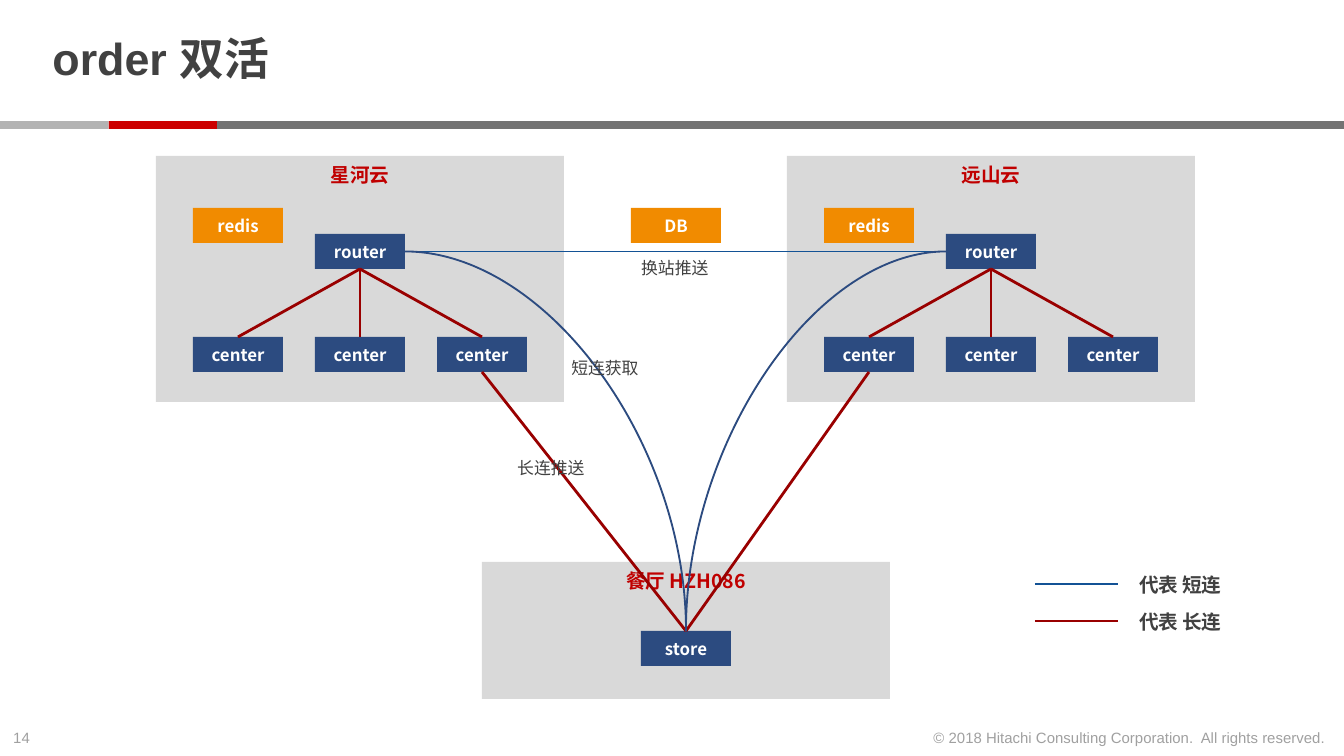
import pptx
import pptx.util
import pptx.dml.color
import pptx.enum.shapes
import pptx.enum.text
import pptx.oxml
import pptx.oxml.ns

RGB = pptx.dml.color.RGBColor
INK = RGB(0x41, 0x41, 0x41)
PALE = RGB(0xA0, 0xA0, 0xA0)
WHITE = RGB(0xFF, 0xFF, 0xFF)
PANEL = RGB(0xD9, 0xD9, 0xD9)
HEAD = RGB(0xC0, 0x00, 0x00)
NAVY = RGB(0x2C, 0x4B, 0x80)
AMBER = RGB(0xF1, 0x8B, 0x00)
BLUE = RGB(0x13, 0x52, 0x95)
MAROON = RGB(0x99, 0x00, 0x00)
LIGHT = RGB(0xB3, 0xB3, 0xB3)
RED = RGB(0xCC, 0x00, 0x00)
DARK = RGB(0x73, 0x73, 0x73)

ALIGN = pptx.enum.text.PP_ALIGN
ANCHOR = pptx.enum.text.MSO_ANCHOR
LINK = pptx.enum.shapes.MSO_CONNECTOR
CJK = "Noto Sans CJK SC"
SCALE = 9144000 / 1344
TOP, LEFT, BOTTOM, RIGHT = range(4)


def px(*sizes):
    return [pptx.util.Emu(round(size * SCALE)) for size in sizes]


def write(frame, text, size, color, face, bold=False, align=ALIGN.LEFT):
    frame.text = text
    line = frame.paragraphs[0]
    line.alignment = align
    for run in line.runs:
        font = run.font
        font.name = face
        font.size = pptx.util.Pt(size)
        font.bold = bold
        font.color.rgb = color
        east = pptx.oxml.parse_xml(
            f'<a:ea {pptx.oxml.ns.nsdecls("a")} typeface="{CJK}"/>')
        font._element.append(east)


def add_rect(slide, box, fill):
    rect = slide.shapes.add_shape(
        pptx.enum.shapes.MSO_SHAPE.RECTANGLE, *px(*box))
    rect.shadow.inherit = False
    rect.fill.solid()
    rect.fill.fore_color.rgb = fill
    rect.line.fill.background()
    return rect


def add_panel(slide, box, name):
    frame = add_rect(slide, box, PANEL).text_frame
    frame.vertical_anchor = ANCHOR.TOP
    write(frame, name, 10.5, HEAD, CJK, True, ALIGN.CENTER)


def add_node(slide, x, y, name, fill=NAVY):
    node = add_rect(slide, (x, y, 90, 35), fill)
    node.text_frame.vertical_anchor = ANCHOR.MIDDLE
    write(node.text_frame, name, 9, WHITE, CJK, True, ALIGN.CENTER)
    return node


def add_label(slide, box, text, size=9, color=INK, bold=False,
              align=ALIGN.LEFT, wrap=True):
    frame = slide.shapes.add_textbox(*px(*box)).text_frame
    frame.word_wrap = wrap
    write(frame, text, size, color, "Arial", bold, align)


def add_line(slide, color, width, ends=(0, 0, 0, 0), kind=LINK.STRAIGHT):
    line = slide.shapes.add_connector(kind, *px(*ends))
    line.line.color.rgb = color
    line.line.width = pptx.util.Pt(width)
    line._element.spPr.append(pptx.oxml.parse_xml(
        f'<a:effectLst {pptx.oxml.ns.nsdecls("a")}/>'))
    return line


def join(slide, start, side, end, goal, color, width):
    line = add_line(slide, color, width)
    line.begin_connect(start, side)
    line.end_connect(end, goal)


def add_curve(slide, router, side, store):
    line = add_line(slide, NAVY, 1, kind=LINK.CURVE)
    line.begin_connect(router, side)
    line.end_connect(store, TOP)
    shape = line._element.spPr.find(pptx.oxml.ns.qn("a:prstGeom"))
    shape.set("prst", "curvedConnector2")


def add_title(slide, box, text):
    title = slide.shapes.title
    title.left, title.top, title.width, title.height = px(*box)
    frame = title.text_frame
    frame.auto_size = pptx.enum.text.MSO_AUTO_SIZE.NONE
    frame.vertical_anchor = ANCHOR.MIDDLE
    frame.margin_top = frame.margin_bottom = 0
    write(frame, text, 24, INK, "Arial", True)
    frame.paragraphs[0].line_spacing = 0.85


def add_band(slide, x, y, width, height):
    step = 108.5
    add_rect(slide, (x + 2 * step, y, width - 2 * step, height), DARK)
    add_rect(slide, (x + step, y, step, height), RED)
    add_rect(slide, (x, y, step, height), LIGHT)


def add_foot(slide, x, y, width, height):
    add_label(slide, (x, y, 46, height), "14", 8, PALE, wrap=False)
    add_label(slide, (x + width - 430, y, 425, height),
              "© 2018 Hitachi Consulting Corporation.  All rights reserved.",
              8, PALE, align=ALIGN.RIGHT, wrap=False)


def add_cloud(slide, x, y, name):
    add_panel(slide, (x, y, 408, 246), name)
    router = add_node(slide, x + 159, y + 78, "router")
    centers = [add_node(slide, x + 37 + 122 * i, y + 181, "center")
               for i in range(3)]
    for center in centers:
        join(slide, center, TOP, router, BOTTOM, MAROON, 1.5)
    add_node(slide, x + 37, y + 52, "redis", AMBER)
    return router, centers


def add_store(slide, x, y, name):
    add_panel(slide, (x, y, 408, 137), name)
    return add_node(slide, x + 159, y + 69, "store")


def add_legend(slide, x, y):
    rows = [("代表 短连", BLUE, 1), ("代表 长连", MAROON, 1.5)]
    for i, (text, color, width) in enumerate(rows):
        top = y + 37 * i
        add_label(slide, (x + 91, top, 137, 37), text, 10.5, bold=True)
        add_line(slide, color, width, (x, top + 18, x + 83, top + 18))


def main():
    deck = pptx.Presentation()
    deck.slide_width, deck.slide_height = px(1344, 756)
    slide = deck.slides.add_slide(deck.slide_layouts[5])
    add_foot(slide, 0, 722, 1344, 32)
    add_band(slide, 0, 121, 1344, 8)
    add_title(slide, (39, 8, 1036, 108), "order 双活")

    west, near = add_cloud(slide, 156, 156, "星河云")
    add_node(slide, 631, 208, "DB", AMBER)
    east, far = add_cloud(slide, 787, 156, "远山云")
    store = add_store(slide, 482, 562, "餐厅 HZH086")

    for center in (near[-1], far[0]):
        join(slide, store, TOP, center, BOTTOM, MAROON, 1.5)
    join(slide, west, RIGHT, east, LEFT, BLUE, 1)
    add_curve(slide, west, RIGHT, store)
    add_curve(slide, east, LEFT, store)

    add_legend(slide, 1035, 566)
    for x, y, text in [(628, 251, "换站推送"), (558, 351, "短连获取"),
                       (504, 451, "长连推送")]:
        add_label(slide, (x, y, 95, 34), text)
    deck.save("out.pptx")


if __name__ == "__main__":
    main()
